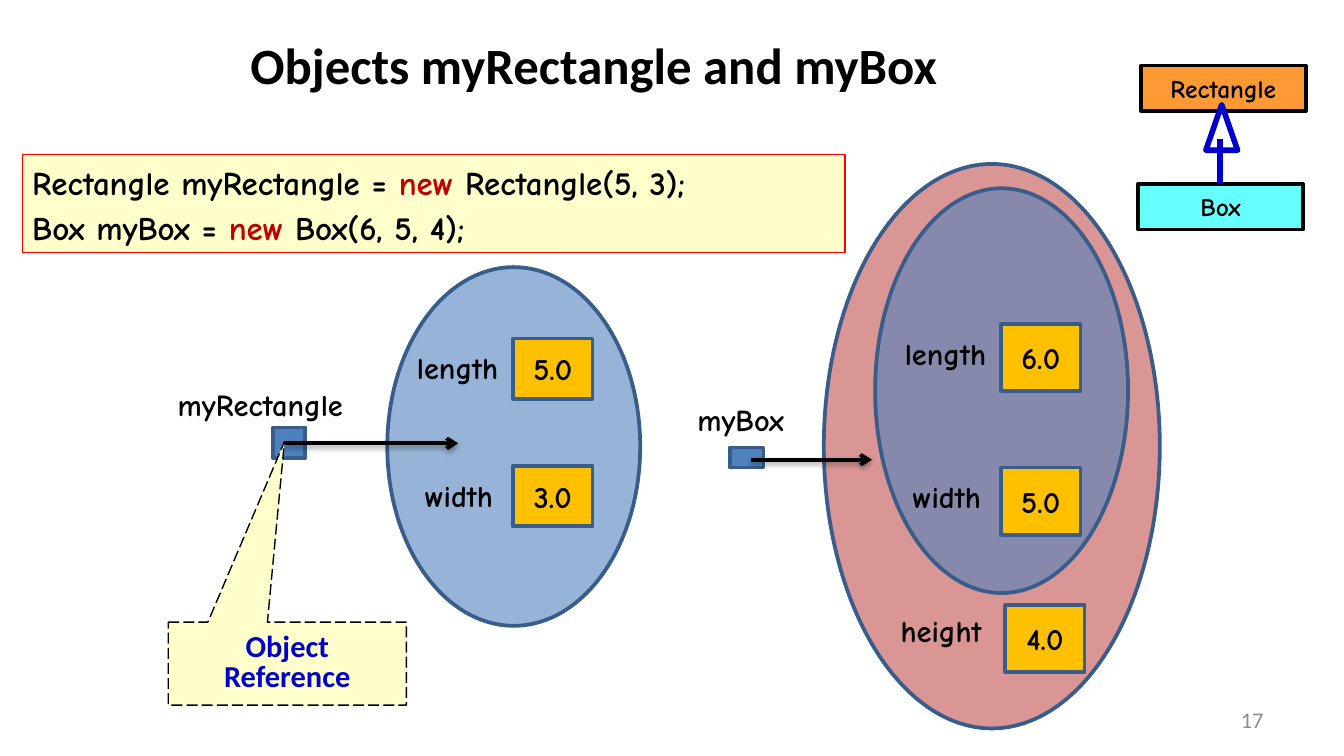
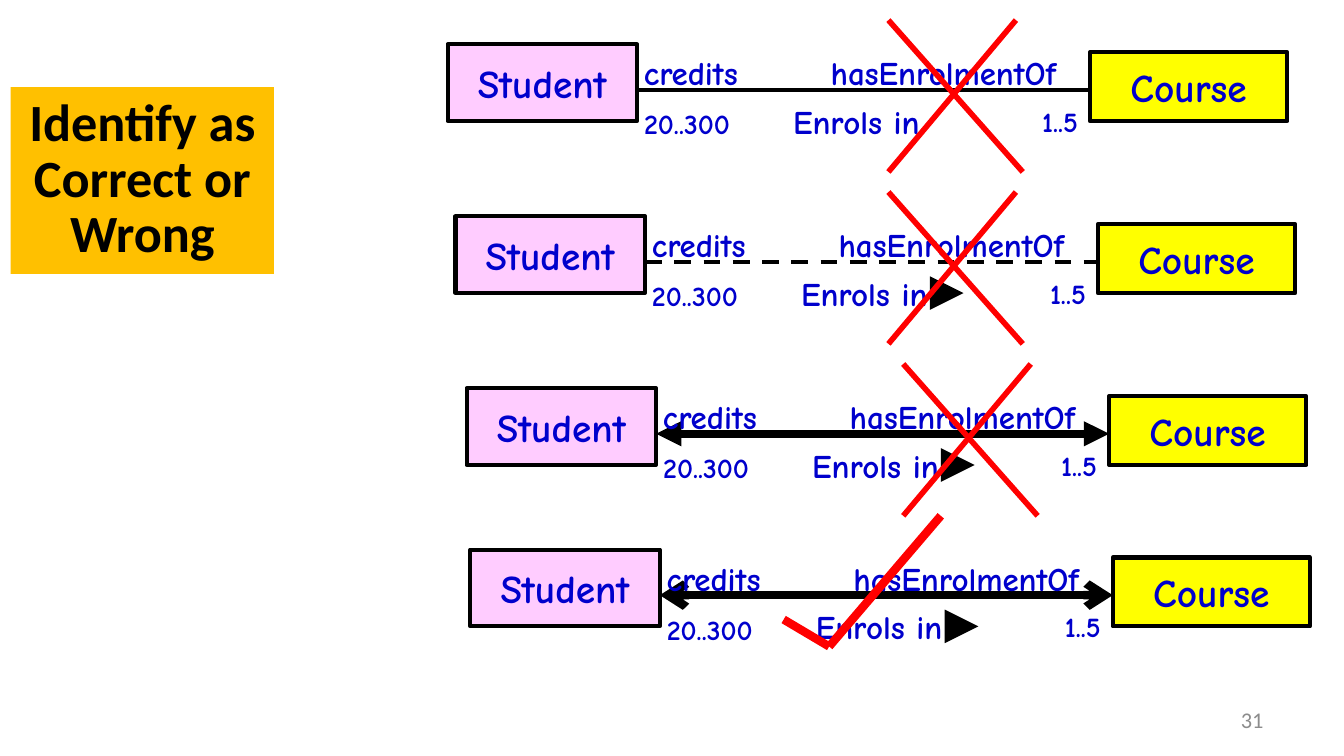
"""Build two slides on object references and on class association notation."""
import lxml.etree
import pptx
import pptx.dml.color
import pptx.enum.dml
import pptx.enum.shapes
import pptx.enum.text
import pptx.oxml.ns
import pptx.util

Cm, Pt = pptx.util.Cm, pptx.util.Pt
RGB = pptx.dml.color.RGBColor.from_string
Kind = pptx.enum.shapes.MSO_SHAPE
Dash = pptx.enum.dml.MSO_LINE
Align = pptx.enum.text.PP_ALIGN
Mid = pptx.enum.text.MSO_ANCHOR.MIDDLE
qn = pptx.oxml.ns.qn


class Theme:
    body, head = "Comic Neue", "Calibri"
    black, blue, red, brick = "000000", "0000CC", "FF0000", "C00000"
    cream, gold, steel, navy = "FFFFCC", "FFC000", "4F81BD", "385D8A"
    rose, orange, cyan = "D99694", "FF9933", "66FFFF"
    pink, yellow, grey = "FFCCFF", "FFFF00", "8C8C8C"
    title, banner, name, code, role = 27.2, 28, 21.1, 17.7, 17.7
    label, count, small, page = 16.3, 15, 13.6, 12


INSET = dict(margin_left=Cm(0.18), margin_right=Cm(0.18),
             margin_top=Cm(0.09), margin_bottom=Cm(0.09), word_wrap=True)
MIDDLE = dict(INSET, vertical_anchor=Mid)
LOOSE = dict(INSET, word_wrap=False)
FLUSH = dict.fromkeys(("margin_left", "margin_right", "margin_top", "margin_bottom"), 0)
PLAIN = dict(word_wrap=True, vertical_anchor=Mid)
LEFT = dict(alignment=Align.LEFT)
CENTER = dict(alignment=Align.CENTER)


def box(slide, kind, at, text="", fill=None, edge=None, width=2, size=Theme.label,
        ink=Theme.black, font=Theme.body, bold=True, frame=MIDDLE, para=CENTER):
    place = [Cm(v) for v in at]
    if kind is None:
        shape = slide.shapes.add_textbox(*place)
    else:
        shape = slide.shapes.add_shape(kind, *place)
        shape.shadow.inherit = False
    if fill:
        shape.fill.solid()
        shape.fill.fore_color.rgb = RGB(fill)
    else:
        shape.fill.background()
    if edge:
        shape.line.color.rgb = RGB(edge)
        shape.line.width = Pt(width)
    else:
        shape.line.fill.background()
    body = shape.text_frame
    for key, val in frame.items():
        setattr(body, key, val)
    rows = text if isinstance(text, list) else [[(text, ink)]] if text else []
    for i, row in enumerate(rows):
        line = body.add_paragraph() if i else body.paragraphs[0]
        for key, val in para.items():
            setattr(line, key, val)
        for words, tint in row:
            run = line.add_run()
            run.text = words
            for key, val in dict(name=font, size=Pt(size), bold=bold).items():
                setattr(run.font, key, val)
            run.font.color.rgb = RGB(tint)
    return shape


def wire(slide, ends, ink=Theme.black, width=2, dash=None, head=None, tail=None, shade=None):
    line = slide.shapes.add_connector(
        pptx.enum.shapes.MSO_CONNECTOR.STRAIGHT, *[Cm(v) for v in ends])
    line.line.color.rgb = RGB(ink)
    line.line.width = Pt(width)
    if dash:
        line.line.dash_style = dash
    sub = lxml.etree.SubElement
    props = line._element.spPr
    for tag, tip in (("a:headEnd", head), ("a:tailEnd", tail)):
        if tip:
            sub(props.find(qn("a:ln")), qn(tag), type=tip)
    glow = sub(props, qn("a:effectLst"))
    if shade is not None:
        cast = sub(glow, qn("a:outerShdw"), blurRad=str(Pt(shade)), dist=str(Pt(1.6)),
                   dir="5400000", rotWithShape="0")
        tint = sub(cast, qn("a:srgbClr"), val=Theme.black)
        sub(tint, qn("a:alpha"), val="38000")


deck = pptx.Presentation()
deck.slide_width, deck.slide_height = Cm(25.4), Cm(14.29)
first, last = [deck.slides.add_slide(deck.slide_layouts[6]) for _ in range(2)]

code = [
    [("Rectangle myRectangle = ", Theme.black), ("new ", Theme.brick),
     ("Rectangle(5, 3);", Theme.black)],
    [("Box myBox = ", Theme.black), ("new ", Theme.brick), ("Box(6, 5, 4);", Theme.black)],
]
box(first, Kind.RECTANGLE, (0.43, 2.92, 15.54, 1.85), code, Theme.cream, Theme.red, 0.75,
    size=Theme.code, frame=INSET,
    para=dict(LEFT, line_spacing=1.05, space_before=Pt(0.9), space_after=Pt(0.9)))
box(first, None, (3.12, 0.53, 16.21, 1.35), "Objects myRectangle and myBox",
    size=Theme.title, font=Theme.head)

ovals = [
    ((7.32, 5.05, 4.78, 6.78), Theme.steel),
    ((15.57, 3.1, 6.35, 10.67), Theme.rose),
    ((16.54, 3.56, 4.78, 7.65), Theme.steel),
]
for at, fill in ovals:
    oval = box(first, Kind.OVAL, at, fill=fill, edge=Theme.navy)
    if fill == Theme.steel:
        tint = oval._element.spPr.find(qn("a:solidFill")).find(qn("a:srgbClr"))
        lxml.etree.SubElement(tint, qn("a:alpha"), val="59000")

fields = [
    ("length", 7.7, 6.5, 2.08, "5.0", 9.7, 6.4, 1.14),
    ("width", 7.85, 8.92, 1.9, "3.0", 9.7, 8.81, 1.14),
    ("length", 16.92, 6.25, 2.08, "6.0", 18.92, 6.12, 1.27),
    ("width", 17.07, 8.94, 1.9, "5.0", 18.92, 8.84, 1.27),
    ("height", 16.84, 11.48, 2.13, "4.0", 19, 11.43, 1.27),
]
for label, x, y, wide, val, left, top, tall in fields:
    box(first, Kind.RECTANGLE, (left, top, 1.5, tall), val, Theme.gold, Theme.navy)
    box(first, None, (x, y, wide, 0.89), label, frame=LOOSE, para=LEFT)

refs = [
    ("myRectangle", (3.18, 7.21, 3.86, 0.89), (5.16, 8.08, 0.61, 0.58), (5.38, 8.38, 8.66, 8.38)),
    ("myBox", (13, 7.49, 2.16, 0.89), (13.79, 8.46, 0.64, 0.38), (14.2, 8.69, 16.48, 8.69)),
]
for label, spot, cell, ends in refs:
    box(first, Kind.RECTANGLE, cell, fill=Theme.steel, edge=Theme.navy)
    wire(first, ends, tail="arrow", shade=3.1)
    box(first, None, spot, label, frame=LOOSE, para=LEFT)

note = box(first, Kind.RECTANGULAR_CALLOUT, (3.18, 11.76, 4.5, 1.57), "Object Reference",
           Theme.cream, Theme.black, 0.75, ink=Theme.blue, font=Theme.head, frame=PLAIN,
           para=dict(CENTER, line_spacing=0.8))
note.line.dash_style = Dash.LONG_DASH
note.adjustments[0], note.adjustments[1] = -0.012, -2.671

for label, x, y, fill in (("Rectangle", 21.56, 1.24, Theme.orange), ("Box", 21.51, 3.48, Theme.cyan)):
    box(first, Kind.RECTANGLE, (x, y, 3.12, 0.86), label, fill, Theme.black, size=Theme.small)
wire(first, (23.06, 3.45, 23.06, 2.62), Theme.blue, 3, shade=0)
box(first, Kind.ISOSCELES_TRIANGLE, (22.79, 1.98, 0.6, 0.86), edge=Theme.blue, width=3)

links = [
    (0, 0, dict(width=2.25)),
    (0.15, 3.25, dict(width=2.25, dash=Dash.DASH)),
    (0.36, 6.5, dict(width=4.5, head="triangle", tail="triangle")),
    (0.43, 9.55, dict(width=4.5, head="arrow", tail="arrow")),
]
nodes = [
    ("Student", 8.46, 0.84, 3.58, 1.45, Theme.pink),
    ("Course", 20.6, 0.99, 3.73, 1.3, Theme.yellow),
]
roles = [
    ("credits", 11.99, 0.91, 2.54, 0.86, Theme.role, INSET, LEFT),
    ("20..300", 11.73, 1.93, 2.51, 0.84, Theme.count, INSET, CENTER),
    ("1..5", 19.3, 1.88, 1.47, 0.76, Theme.count, LOOSE, CENTER),
    ("hasEnrolmentOf", 15.52, 0.91, 5.23, 0.86, Theme.role, INSET, LEFT),
    ("Enrols in", 14.81, 1.83, 5.23, 0.86, Theme.role, INSET, LEFT),
]
for dx, dy, style in links:
    for label, x, y, wide, tall, fill in nodes:
        box(last, Kind.RECTANGLE, (x + dx, y + dy, wide, tall), label, fill, Theme.black, 2.25,
            size=Theme.name, ink=Theme.blue, frame=dict(MIDDLE, word_wrap=False))
    wire(last, (12.04 + dx, 1.7 + dy, 20.6 + dx, 1.7 + dy), **style)
    if dy:
        wire(last, (17.96 + dx, 2.29 + dy, 18.06 + dx, 2.29 + dy), width=6, tail="triangle")
    for label, x, y, wide, tall, size, frame, para in roles:
        box(last, None, (x + dx, y + dy, wide, tall), label, size=size, ink=Theme.blue,
            frame=frame, para=para)

for dx, dy in ((0, 0), (0, 3.25), (0.28, 6.5)):
    for start, end in ((16.79, 19.33), (19.2, 16.79)):
        wire(last, (start + dx, 0.38 + dy, end + dx, 3.25 + dy), Theme.red, 3)
for ends in ((14.81, 11.71, 15.67, 12.22), (15.67, 12.22, 17.78, 9.75)):
    wire(last, ends, Theme.red, 4.5)

box(last, Kind.RECTANGLE, (0.2, 1.65, 4.98, 3.53), "Identify as Correct or Wrong", Theme.gold,
    size=Theme.banner, font=Theme.head, frame=dict(PLAIN, **FLUSH),
    para=dict(CENTER, line_spacing=0.88))

for slide, num in ((first, "17"), (last, "31")):
    box(slide, None, (18.21, 13.23, 5.92, 0.76), num, size=Theme.page, ink=Theme.grey,
        font=Theme.head, bold=False, frame=PLAIN, para=dict(alignment=Align.RIGHT))

deck.save("out.pptx")
